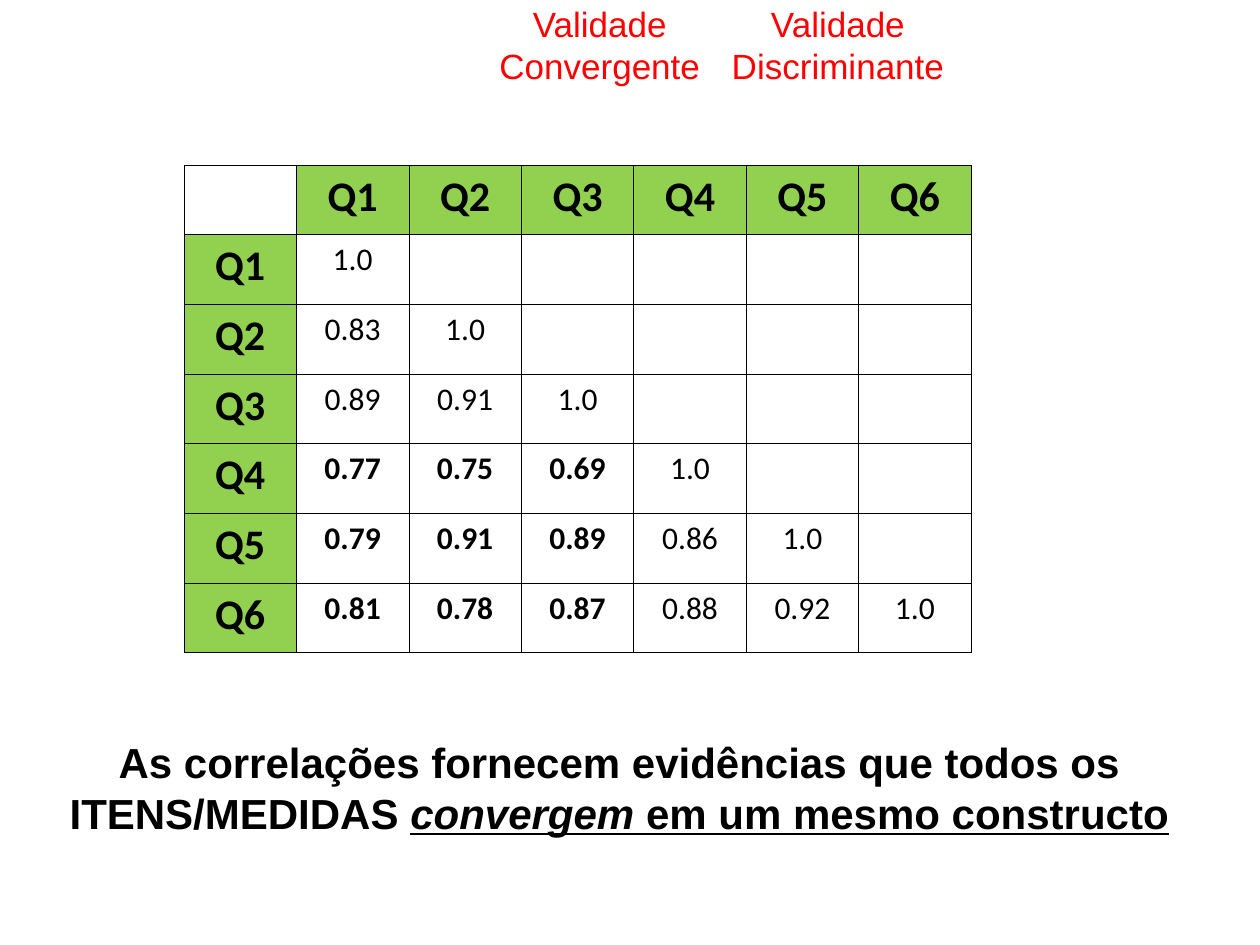
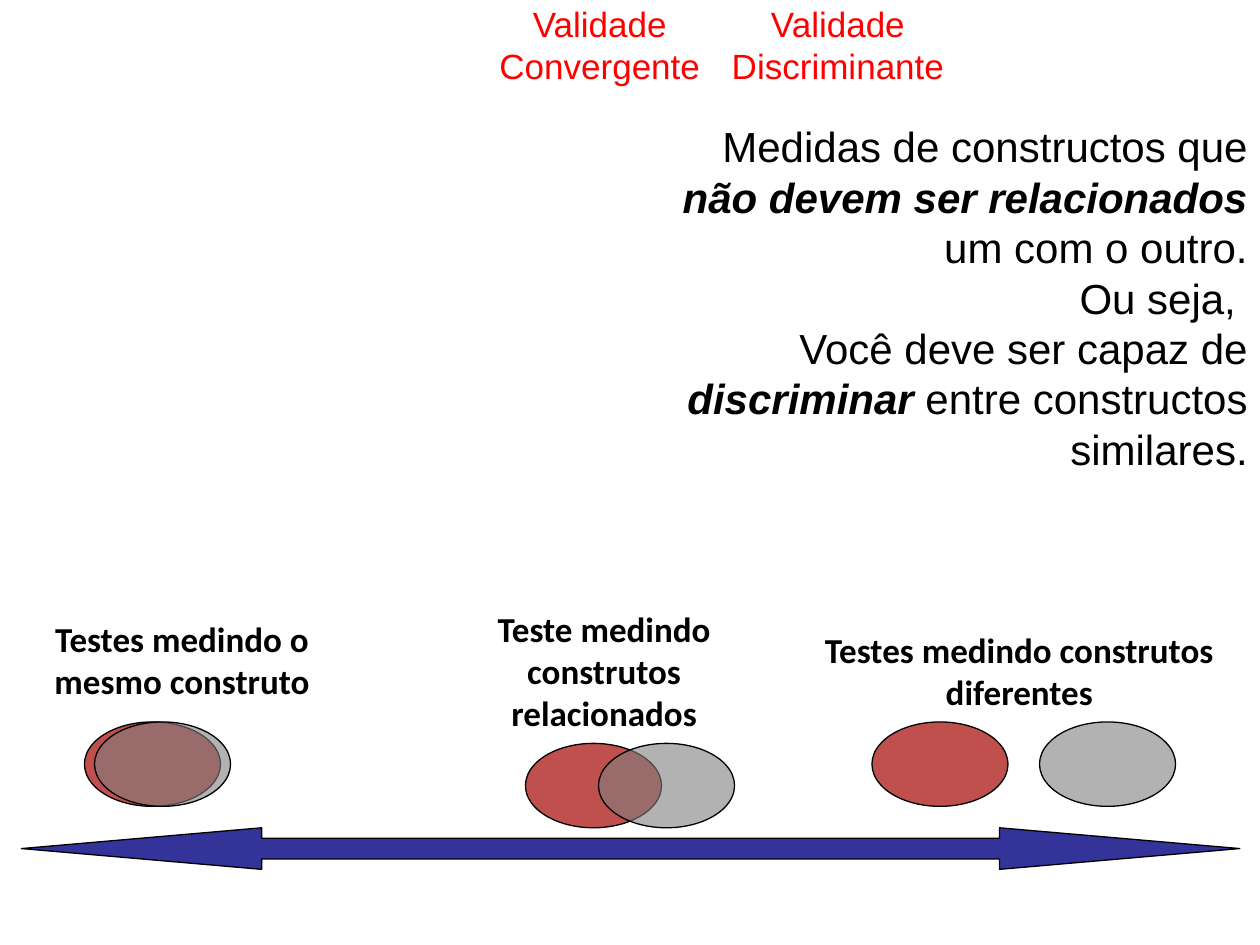
from pptx import Presentation
from pptx.dml.color import RGBColor
from pptx.enum.shapes import MSO_SHAPE as Shape
from pptx.enum.text import MSO_AUTO_SIZE as AutoSize, PP_ALIGN as Align
from pptx.oxml.ns import qn
from pptx.util import Inches, Pt
from lxml.etree import SubElement

BLACK, RED, GREEN = "000000", "FF0000", "92D050"
BRICK, GRAY, INDIGO = "C0504D", "808080", "333399"

CORRELATIONS = [
    ["1.0"],
    ["0.83", "1.0"],
    ["0.89", "0.91", "1.0"],
    ["0.77", "0.75", "0.69", "1.0"],
    ["0.79", "0.91", "0.89", "0.86", "1.0"],
    ["0.81", "0.78", "0.87", "0.88", "0.92", "1.0"],
]
FIRST_SCALE = 3  # Q1 to Q3 form one scale, Q4 to Q6 the other


def color(hex_code):
    return RGBColor.from_string(hex_code)


class SlideBuilder:
    def __init__(self, deck):
        self.deck = deck
        self.slide = None

    def new_slide(self):
        self.slide = self.deck.slides.add_slide(self.deck.slide_layouts[6])

    def headings(self):
        for left, word in ((5.39, "Discriminante"), (3.5, "Convergente")):
            self.text(left, -0.03, 2.52, 0.77, [[(f"Validade {word}", "")]],
                      size=20, ink=RED)

    def style_span(self, span, font, size, ink, marks=""):
        """Format one run; marks holds b, i and u for bold, italic, underline."""
        span.font.name = font
        span.font.size = Pt(size)
        span.font.color.rgb = color(ink)
        span.font.bold = "b" in marks
        span.font.italic = "i" in marks
        span.font.underline = "u" in marks

    def text(self, left, top, width, height, paras, size=24, font="Arial",
             ink=BLACK, align=Align.CENTER):
        """Add a box whose paragraphs are lists of (text, marks)."""
        box = self.slide.shapes.add_textbox(
            Inches(left), Inches(top), Inches(width), Inches(height))
        frame = box.text_frame
        frame.word_wrap = True
        frame.auto_size = AutoSize.SHAPE_TO_FIT_TEXT
        for index, spans in enumerate(paras):
            para = frame.add_paragraph() if index else frame.paragraphs[0]
            para.alignment = align
            for words, marks in spans:
                span = para.add_run()
                span.text = words
                self.style_span(span, font, size, ink, marks)

    def shape(self, kind, left, top, width, height, fill, opacity=100):
        shape = self.slide.shapes.add_shape(
            kind, Inches(left), Inches(top), Inches(width), Inches(height))
        shape.shadow.inherit = False
        shape.fill.solid()
        shape.fill.fore_color.rgb = color(fill)
        shape.line.color.rgb = color(BLACK)
        shape.line.width = Pt(0.75)
        if opacity < 100:
            tint = shape.fill._xPr.find(qn("a:solidFill")).find(qn("a:srgbClr"))
            SubElement(tint, qn("a:alpha"), val=str(opacity * 1000))
        return shape

    def ellipse_pair(self, left, top, offset):
        """Draw two constructs, the second shifted right by offset."""
        self.shape(Shape.OVAL, left, top, 1.08, 0.67, BRICK)
        self.shape(Shape.OVAL, left + offset, top, 1.08, 0.67, GRAY, opacity=60)

    def cell_borders(self, cell):
        properties = cell._tc.get_or_add_tcPr()
        for side in ("a:lnL", "a:lnR", "a:lnT", "a:lnB"):
            line = SubElement(properties, qn(side), w=str(Pt(0.45)))
            SubElement(SubElement(line, qn("a:solidFill")), qn("a:srgbClr"), val=BLACK)

    def cell(self, cell, words, size, marks, fill=None):
        self.cell_borders(cell)
        if fill:
            cell.fill.solid()
            cell.fill.fore_color.rgb = color(fill)
        else:
            cell.fill.background()
        if words:
            cell.text_frame.text = words
            para = cell.text_frame.paragraphs[0]
            para.alignment = Align.CENTER
            self.style_span(para.runs[0], "Calibri", size, BLACK, marks)

    def correlation_table(self, left, top, width, height, values):
        count = len(values) + 1
        table = self.slide.shapes.add_table(
            count, count, Inches(left), Inches(top), Inches(width), Inches(height)).table
        table.first_row = table.horz_banding = False
        for row in range(count):
            for column in range(count):
                cell = table.cell(row, column)
                if row and column:
                    words = values[row - 1][column - 1] if column <= row else ""
                    between_scales = column <= FIRST_SCALE < row
                    self.cell(cell, words, 18, "b" if between_scales else "")
                elif row or column:
                    self.cell(cell, f"Q{row or column}", 24, "b", GREEN)
                else:
                    self.cell(cell, "", 24, "")


def correlation_slide(builder):
    builder.new_slide()
    builder.correlation_table(1.46, 1.31, 6.25, 3.87, CORRELATIONS)
    builder.text(0.35, 5.8, 9.13, 0.9, [[
        ("As correlações fornecem evidências que todos os ITENS/MEDIDAS ", "b"),
        ("convergem", "biu"),
        (" em um mesmo constructo", "bu"),
    ]])
    builder.headings()


def discriminant_slide(builder):
    builder.new_slide()
    arrow = builder.shape(Shape.LEFT_RIGHT_ARROW, 0.17, 6.57, 9.67, 0.33, INDIGO)
    arrow.adjustments[0] = 0.5
    arrow.adjustments[1] = 5.78

    for left, top, offset in ((0.67, 5.73, 0.08), (6.92, 5.73, 1.33), (4.17, 5.9, 0.58)):
        builder.ellipse_pair(left, top, offset)

    captions = [
        (0.17, 4.85, 2.55, 0.77, "Testes medindo o mesmo construto"),
        (6.34, 4.94, 3.5, 0.77, "Testes medindo construtos diferentes"),
        (3.33, 4.77, 2.93, 1.1, "Teste medindo construtos relacionados"),
    ]
    for left, top, width, height, words in captions:
        builder.text(left, top, width, height, [[(words, "b")]], size=20, font="Calibri")

    builder.text(5.08, 0.91, 4.92, 2.9, [
        [("Medidas de constructos que ", ""),
         ("não devem ser relacionados", "bi"),
         (" um com o outro.", "")],
        [("Ou seja, ", "")],
        [("Você deve ser capaz de ", ""),
         ("discriminar", "bi"),
         (" entre constructos similares.", "")],
    ], align=Align.RIGHT)
    builder.headings()


def main():
    deck = Presentation()
    deck.slide_width, deck.slide_height = Inches(10), Inches(7.5)
    builder = SlideBuilder(deck)
    correlation_slide(builder)
    discriminant_slide(builder)
    deck.save("out.pptx")


if __name__ == "__main__":
    main()
